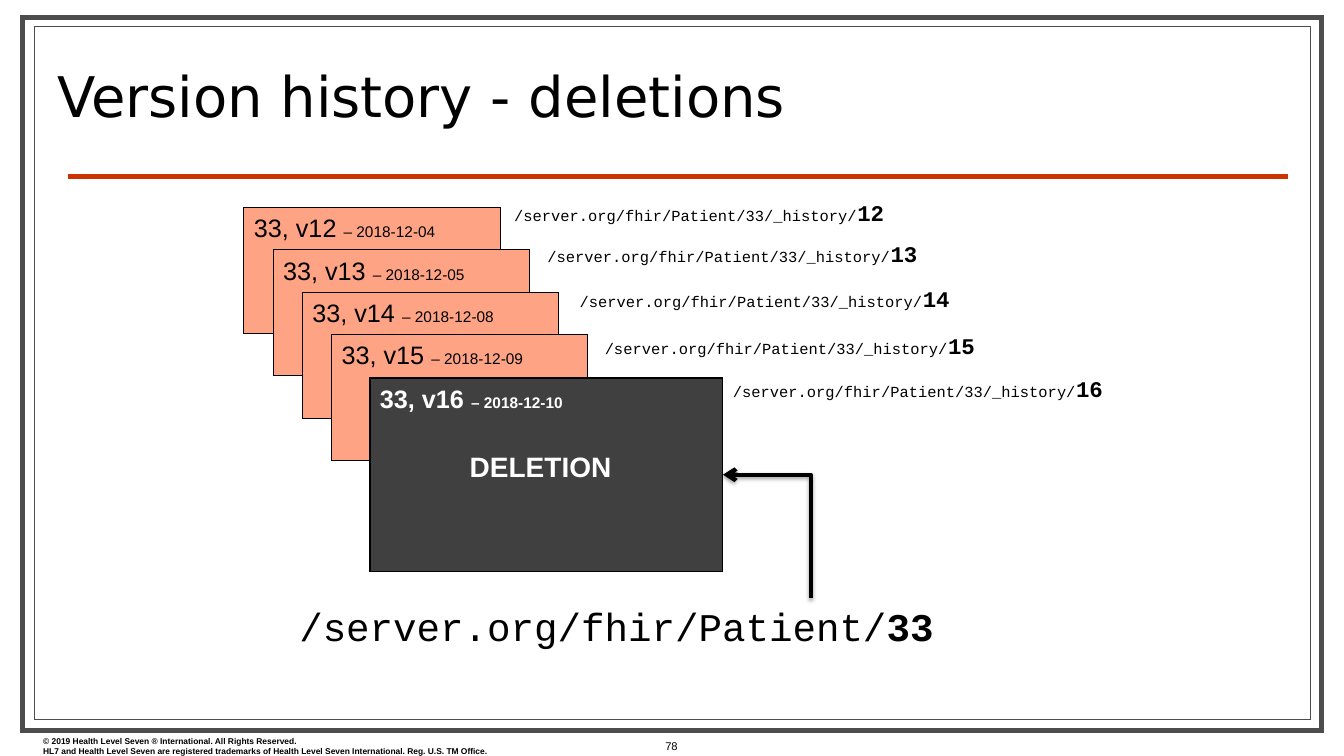
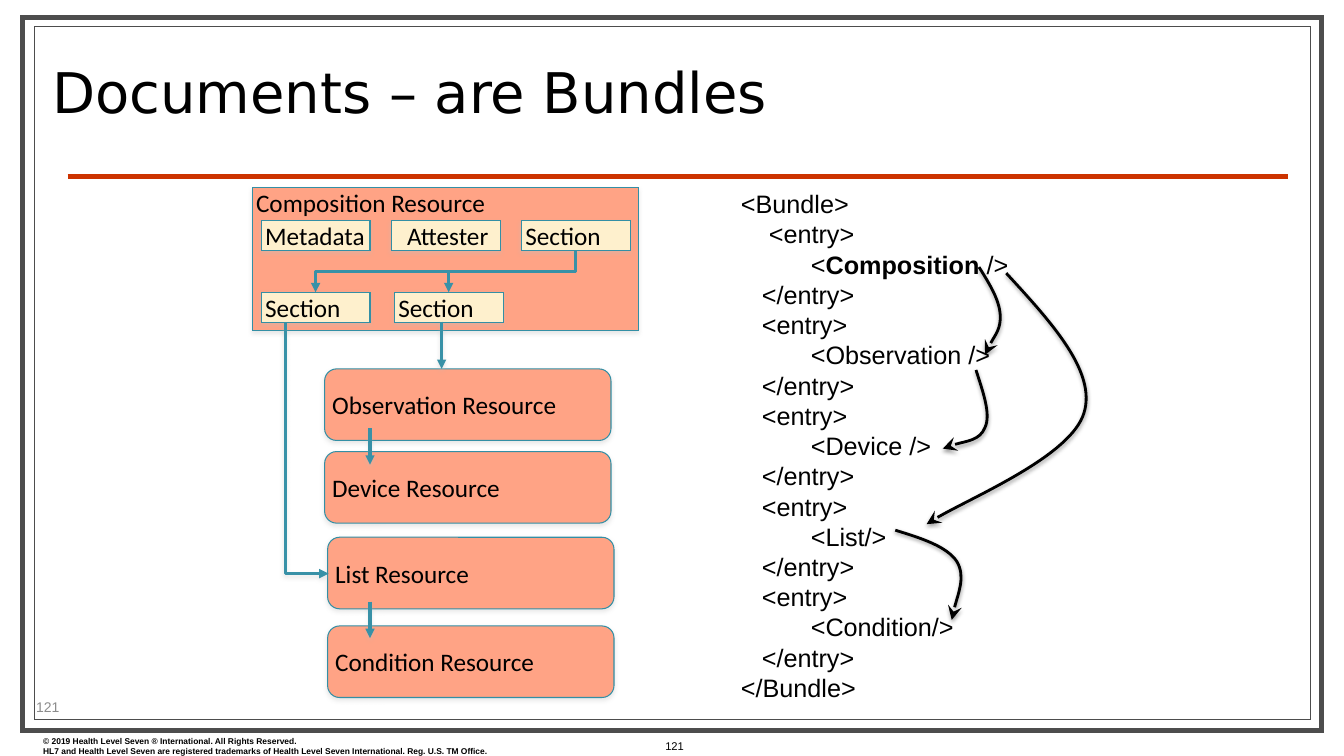
from lxml import etree
from pptx import Presentation
from pptx import util as u
from pptx.dml.color import RGBColor
from pptx.enum import shapes, text
from pptx.oxml import ns

BLACK = RGBColor(0x00, 0x00, 0x00)
WHITE = RGBColor(0xFF, 0xFF, 0xFF)
FRAME = RGBColor(0x4D, 0x4D, 0x4D)
RULE = RGBColor(0xCC, 0x33, 0x00)
SALMON = RGBColor(0xFF, 0xA3, 0x85)
CREAM = RGBColor(0xFE, 0xF0, 0xCD)
CHARCOAL = RGBColor(0x40, 0x40, 0x40)
TEAL_EDGE = RGBColor(0x33, 0x8F, 0xA5)
TEAL_ARROW = RGBColor(0x38, 0x91, 0xA7)
GREY = RGBColor(0x8C, 0x8C, 0x8C)
SILVER = RGBColor(0xC0, 0xC0, 0xC0)

SANS, MONO, BODY, TITLE = "Arial", "Courier New", "Calibri", "DejaVu Sans"
RECT = shapes.MSO_SHAPE.RECTANGLE
ROUND = shapes.MSO_SHAPE.ROUNDED_RECTANGLE
TOP, MIDDLE = text.MSO_ANCHOR.TOP, text.MSO_ANCHOR.MIDDLE

COPYRIGHT = [
    "© 2019 Health Level Seven ® International. All Rights Reserved.",
    "HL7 and Health Level Seven are registered trademarks of Health Level Seven International. Reg. U.S. TM Office.",
]
VERSIONS = [
    ("12", "2018-12-04", 5, 1.93),
    ("13", "2018-12-05", 5.33, 2.33),
    ("14", "2018-12-08", 5.65, 2.78),
    ("15", "2018-12-09", 5.9, 3.25),
    ("16", "2018-12-10", 7.17, 3.67),
]
ENTRIES = ["Composition", "Observation />", "Device />", "List/>", "Condition/>"]
RESOURCES = [("Observation", 3.22, 3.66), ("Device", 3.22, 4.48),
             ("List", 3.25, 5.33), ("Condition", 3.25, 6.21)]
CURVES = [
    [(9.71, 2.65), (9.81, 2.81), (9.91, 2.97), (9.92, 3.12),
     (9.93, 3.26), (9.79, 3.45), (9.77, 3.52)],
    [(9.98, 2.71), (10.43, 3.2), (10.88, 3.69), (10.75, 4.1),
     (10.62, 4.52), (9.44, 5.02), (9.19, 5.2)],
    [(8.88, 5.26), (9.14, 5.34), (9.39, 5.42), (9.49, 5.57),
     (9.58, 5.72), (9.44, 6.09), (9.44, 6.15)],
    [(9.68, 3.67), (9.75, 3.89), (9.83, 4.11), (9.77, 4.24),
     (9.72, 4.37), (9.42, 4.41), (9.35, 4.45)],
]


def write(frame, paragraphs, font, size, color=BLACK, bold=False):
    """Fill a frame with paragraphs of (text, size, bold) spans or plain strings."""
    frame.word_wrap = True
    for index, spans in enumerate(paragraphs):
        para = frame.paragraphs[0] if index == 0 else frame.add_paragraph()
        para.alignment = text.PP_ALIGN.LEFT
        for words, points, strong in [(spans, size, bold)] if isinstance(spans, str) else spans:
            span = para.add_run()
            span.text = words
            span.font.name = font
            span.font.size = u.Pt(points)
            span.font.bold = strong
            span.font.color.rgb = color


def add_text(page, left, top, width, height, paragraphs, font, size, anchor=TOP, **style):
    """Place a wrapped text box."""
    box = page.shapes.add_textbox(*map(u.Inches, (left, top, width, height)))
    box.text_frame.vertical_anchor = anchor
    write(box.text_frame, paragraphs, font, size, **style)
    return box


def cast_shadow(shape, color, alpha):
    """Replace the theme effect with a soft downward shadow, or none without a colour."""
    effects = etree.SubElement(shape._element.spPr, ns.qn("a:effectLst"))
    if color is not None:
        outer = etree.SubElement(effects, ns.qn("a:outerShdw"), blurRad=str(u.Pt(3)),
                                 dist=str(u.Pt(1.7)), dir="5400000",
                                 algn="ctr", rotWithShape="0")
        shade = etree.SubElement(outer, ns.qn("a:srgbClr"), val=str(color))
        etree.SubElement(shade, ns.qn("a:alpha"), val=str(alpha * 1000))


def add_box(page, left, top, width, height, fill, edge, weight=0.75, kind=RECT, shadow=None):
    """Place a filled, sharply outlined shape."""
    box = page.shapes.add_shape(kind, *map(u.Inches, (left, top, width, height)))
    box.fill.solid()
    box.fill.fore_color.rgb = fill
    box.line.color.rgb = edge
    box.line.width = u.Pt(weight)
    etree.SubElement(box.line._get_or_add_ln(), ns.qn("a:miter"), lim="800000")
    if shadow is None:
        box.shadow.inherit = False
    else:
        cast_shadow(box, shadow, 35)
    box.text_frame.vertical_anchor = TOP
    return box


def add_label(page, left, top, width, height, words, fill, kind=RECT, anchor=TOP):
    """Place a teal-edged box with a tight label."""
    box = add_box(page, left, top, width, height, fill, TEAL_EDGE, kind=kind, shadow=SILVER)
    frame = box.text_frame
    frame.margin_left = u.Inches(0.04)
    frame.margin_top = frame.margin_right = frame.margin_bottom = 0
    frame.vertical_anchor = anchor
    write(frame, [words], BODY, 18)
    return box


def style_line(line, color, weight, head=None, head_size="med", shadow=None):
    """Set colour, weight, arrowhead and shadow of a line."""
    line.line.color.rgb = color
    line.line.width = u.Pt(weight)
    if head:
        etree.SubElement(line.line._get_or_add_ln(), ns.qn("a:tailEnd"),
                         type=head, w=head_size, len=head_size)
    cast_shadow(line, shadow, 38)


def add_line(page, start, end, color, weight, **style):
    """Draw a straight connector."""
    line = page.shapes.add_connector(shapes.MSO_CONNECTOR.STRAIGHT,
                                     *map(u.Inches, (*start, *end)))
    style_line(line, color, weight, **style)


def add_elbow(page, start, end, bends, color, weight, **style):
    """Draw an elbow connector that leaves vertically and turns once or twice."""
    (x1, y1), (x2, y2) = start, end
    middle_x, middle_y = (x1 + x2) / 2, (y1 + y2) / 2
    run, rise = abs(y2 - y1) / 2, abs(x2 - x1) / 2
    if (y2 > y1) == (x2 > x1):
        rise = -rise
    corners = (middle_x - run, middle_y - rise, middle_x + run, middle_y + rise)
    line = page.shapes.add_connector(shapes.MSO_CONNECTOR.ELBOW, *map(u.Inches, corners))
    properties = line._element.spPr
    properties.find(ns.qn("a:xfrm")).set("rot", "5400000" if y2 > y1 else "16200000")
    properties.find(ns.qn("a:prstGeom")).set("prst", f"bentConnector{bends + 1}")
    style_line(line, color, weight, **style)


def add_curve(page, points):
    """Draw a curved arrow from a start point and triples of Bezier points."""
    start, *others = [(u.Inches(x), u.Inches(y)) for x, y in points]
    builder = page.shapes.build_freeform(*start)
    builder.add_line_segments(others, close=False)
    curve = builder.convert_to_shape()
    segments = list(curve._element.iter(ns.qn("a:lnTo")))
    outline = segments[0].getparent()
    for index in range(0, len(segments), 3):
        bezier = etree.SubElement(outline, ns.qn("a:cubicBezTo"))
        for segment in segments[index:index + 3]:
            bezier.append(segment[0])
            outline.remove(segment)
    curve.fill.background()
    style_line(curve, BLACK, 2, head="stealth", head_size="lg", shadow=BLACK)


def add_page(deck, title, title_box, number):
    """Add a slide with the shared frame, rule, footer and title."""
    page = deck.slides.add_slide(deck.slide_layouts[6])
    add_box(page, 0.22, 0.17, 12.89, 7.08, WHITE, FRAME, 3.5)
    add_box(page, 0.34, 0.26, 12.66, 6.88, WHITE, FRAME)
    add_line(page, (0.67, 1.75), (12.77, 1.75), RULE, 3)
    add_text(page, 0.33, 7.25, 6.44, 0.3, COPYRIGHT, SANS, 6, bold=True)
    add_text(page, 6.5, 7.29, 0.6, 0.24, [number], SANS, 8)
    heading = add_text(page, *title_box, [title], TITLE, 40, anchor=MIDDLE)
    heading.text_frame.paragraphs[0].line_spacing = 0.8
    return page


def add_version_stack(page, left, top):
    """Stack the version cards, the last one marking the deletion."""
    for index, (version, date, _, _) in enumerate(VERSIONS):
        caption = f"33, v{version} ", f"– {date}"
        if index < len(VERSIONS) - 1:
            card = add_box(page, left + 0.29 * index, top + 0.42 * index, 2.54, 1.25,
                           SALMON, BLACK)
            write(card.text_frame, [[(caption[0], 18, False), (caption[1], 11, False)]], SANS, 18)
        else:
            card = add_box(page, left + 1.25, top + 1.69, 3.5, 1.92, CHARCOAL, BLACK)
            write(card.text_frame,
                  [[(caption[0], 18, True), (caption[1], 11, True)], [("DELETION", 20, True)]],
                  SANS, 18, color=WHITE)
            notice = card.text_frame.paragraphs[1]
            notice.space_before = u.Pt(26)
            notice._p.get_or_add_pPr().set("marL", str(u.Inches(0.89)))


def add_history_slide(deck):
    """Build the slide on version history."""
    page = add_page(deck, "Version history - deletions", (0.47, 0.36, 9.55, 1.29), "78")
    add_version_stack(page, 2.42, 2.06)
    for version, _, left, top in VERSIONS:
        add_text(page, left, top, 5, 0.37,
                 [[("/server.org/fhir/Patient/33/_history/", 11, False), (version, 16, True)]],
                 MONO, 11)
    add_text(page, 2.87, 5.93, 6.88, 0.57,
             [[("/server.org/fhir/Patient/", 28, False), ("33", 28, True)]], MONO, 28)
    add_elbow(page, (8.04, 5.93), (7.17, 4.71), 1, BLACK, 3, head="arrow", shadow=BLACK)


def add_composition(page, left, top):
    """Draw the composition panel with its parts and branching arrows."""
    add_label(page, left, top, 3.83, 1.42, "Composition Resource", SALMON)
    parts = [("Metadata", 0.09, 0.33), ("Attester", 1.38, 0.33), ("Section", 2.67, 0.33),
             ("Section", 0.09, 1.04), ("Section", 1.41, 1.04)]
    for words, across, down in parts:
        part = add_label(page, left + across, top + down, 1.08, 0.3, words, CREAM)
        if words == "Attester":
            part.text_frame.paragraphs[0].alignment = text.PP_ALIGN.CENTER
    for across in (0.63, 1.95):
        add_elbow(page, (left + 3.21, top + 0.63), (left + across, top + 1.04), 2,
                  TEAL_ARROW, 2.25, head="triangle")


def add_resources(page):
    """Draw the linked resources and the arrows that reach them."""
    for name, left, top in RESOURCES:
        add_label(page, left, top, 2.84, 0.71, f"{name} Resource", SALMON, ROUND, MIDDLE)
    teal = {"color": TEAL_ARROW, "weight": 2.25, "head": "triangle", "shadow": SILVER}
    add_elbow(page, (2.83, 3.2), (3.26, 5.69), 1, **teal)
    for across, start, end in [(4.38, 3.19, 3.66), (3.67, 4.25, 4.61), (3.67, 5.97, 6.33)]:
        add_line(page, (across, start), (across, end), **teal)


def add_bundle_code(page, left, top):
    """Write the bundle markup with its reference arrows."""
    lines = ["<Bundle>"]
    for index, entry in enumerate(ENTRIES):
        lines.append(" " * (3 if index else 4) + "<entry>")
        indent = " " * 10 + "<"
        lines.append(indent + entry if index else
                     [(indent, 18, False), (entry, 18, True), (" />", 18, False)])
        lines.append("   </entry>")
    lines.append("</Bundle>")
    add_text(page, left, top, 2.88, 5.25, lines, SANS, 18)
    for points in CURVES:
        add_curve(page, points)


def add_bundle_slide(deck):
    """Build the slide on documents as bundles."""
    page = add_page(deck, "Documents – are Bundles", (0.42, 0.36, 9.25, 1.21), "121")
    add_text(page, 0.26, 6.89, 1.05, 0.24, ["121"], SANS, 10, anchor=MIDDLE, color=GREY)
    add_composition(page, 2.5, 1.86)
    add_resources(page)
    add_bundle_code(page, 7.25, 1.82)


def main():
    """Build and save the deck."""
    deck = Presentation()
    deck.slide_width, deck.slide_height = u.Inches(13.33), u.Inches(7.5)
    add_history_slide(deck)
    add_bundle_slide(deck)
    deck.save("out.pptx")


if __name__ == "__main__":
    main()
